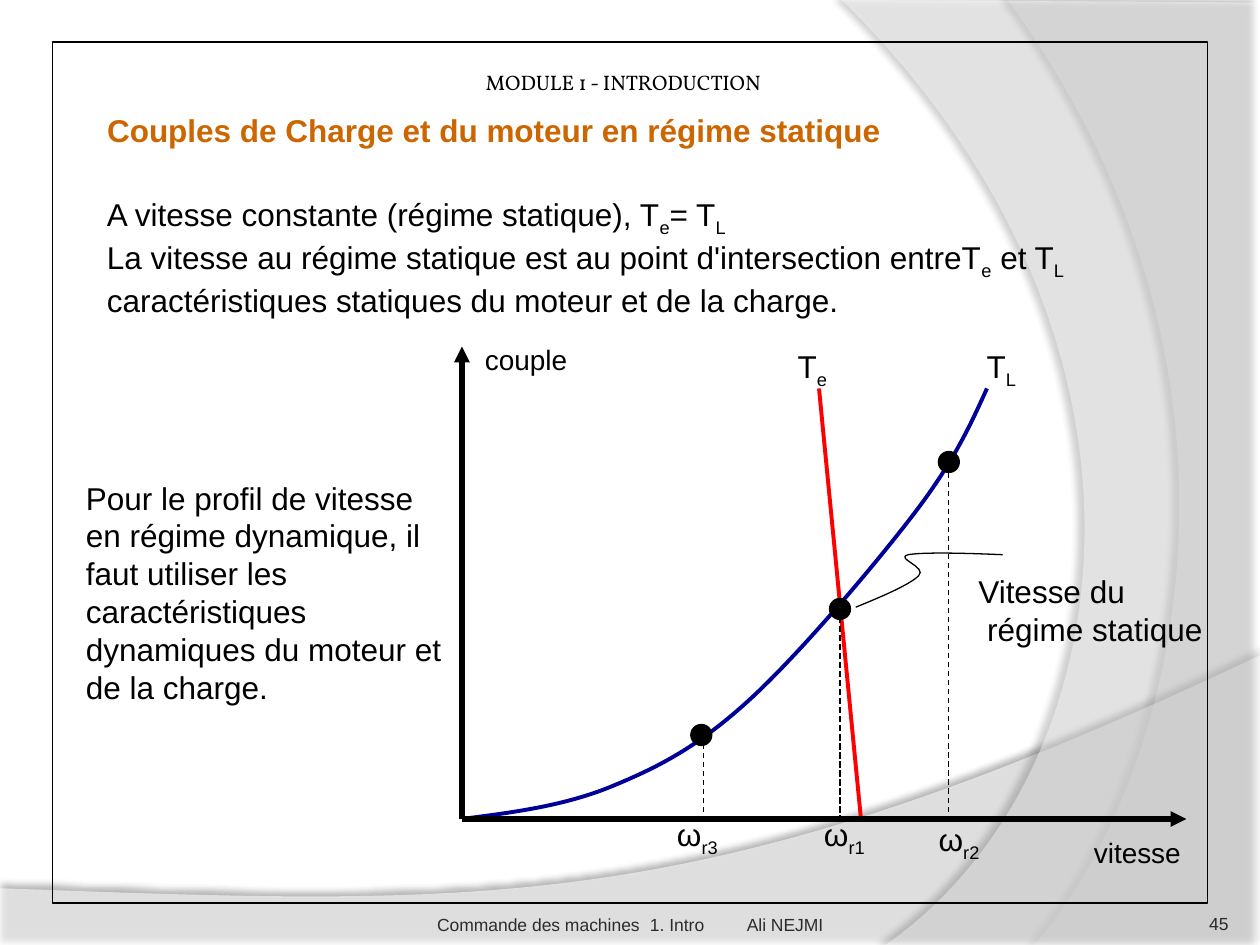
from lxml import etree
from pptx import Presentation
from pptx.dml.color import RGBColor
from pptx.enum.dml import MSO_LINE
from pptx.enum.shapes import MSO_CONNECTOR, MSO_SHAPE
from pptx.enum.text import MSO_ANCHOR, MSO_AUTO_SIZE, PP_ALIGN
from pptx.oxml.ns import qn
from pptx.util import Pt

DASH = MSO_LINE.DASH
LINE = MSO_CONNECTOR.STRAIGHT
RECT, OVAL = MSO_SHAPE.RECTANGLE, MSO_SHAPE.OVAL
TOP, LOW = MSO_ANCHOR.TOP, MSO_ANCHOR.BOTTOM
LEFT, RIGHT = PP_ALIGN.LEFT, PP_ALIGN.RIGHT
FIXED = MSO_AUTO_SIZE.NONE
INSET = (7.2, 3.6, 7.2, 3.6)


def rgb(code):
    return RGBColor.from_string(code)


def sub(node, tag, **attrs):
    return etree.SubElement(node, qn(tag), {k: str(v) for k, v in attrs.items()})


def write(shape, text, size=18, color="000000", bold=False, face="Arial",
          align=LEFT, anchor=TOP, wrap=True, inset=INSET, indents=(), tabs=()):
    """Lines split at newlines; text between bars is subscript."""
    frame = shape.text_frame
    frame.auto_size = FIXED
    frame.word_wrap = wrap
    frame.vertical_anchor = anchor
    (frame.margin_left, frame.margin_top,
     frame.margin_right, frame.margin_bottom) = map(Pt, inset)
    for row, line in enumerate(text.split("\n")):
        para = frame.add_paragraph() if row else frame.paragraphs[0]
        para.alignment = align
        para.space_before = Pt(0)
        props = para._p.get_or_add_pPr()
        if indents:
            props.set("marL", str(Pt(indents[row])))
        if tabs:
            stops = sub(props, "a:tabLst")
            for stop in tabs:
                sub(stops, "a:tab", pos=Pt(stop), algn="l")
        for turn, part in enumerate(line.split("|")):
            if not part:
                continue
            run = para.add_run()
            run.text = part
            font = run.font
            font.name, font.size, font.bold = face, Pt(size), bold
            font.color.rgb = rgb(color)
            if turn % 2:
                run._r.get_or_add_rPr().set("baseline", "-25000")


class Page:
    ink = "000000"
    thin = 0.75

    def __init__(self, deck):
        self.slide = deck.slides.add_slide(deck.slide_layouts[0])
        self.shapes = self.slide.shapes

    def label(self, x, y, w, h, text, **form):
        box = self.shapes.add_textbox(Pt(x), Pt(y), Pt(w), Pt(h))
        write(box, text, **form)

    def holder(self, index, x, y, w, h, text, **form):
        box = self.slide.placeholders[index]
        box.left, box.top, box.width, box.height = map(Pt, (x, y, w, h))
        box.element.getparent().append(box.element)  # bring to front
        write(box, text, **form)

    def shape(self, kind, x, y, w, h, fill=None):
        item = self.shapes.add_shape(kind, Pt(x), Pt(y), Pt(w), Pt(h))
        item.shadow.inherit = False
        if fill:
            item.fill.solid()
            item.fill.fore_color.rgb = rgb(fill)
        else:
            item.fill.background()
        item.line.color.rgb = rgb(self.ink)
        item.line.width = Pt(self.thin)

    def line(self, x1, y1, x2, y2, color=ink, width=thin, dash=None, arrow=False):
        item = self.shapes.add_connector(LINE, Pt(x1), Pt(y1), Pt(x2), Pt(y2))
        item.line.color.rgb = rgb(color)
        item.line.width = Pt(width)
        if dash:
            item.line.dash_style = dash
        if arrow:
            sub(item.line._get_or_add_ln(), "a:tailEnd", type="triangle")
        sub(item.element.spPr, "a:effectLst")

    def outline(self, start, *steps, close=False):
        """A step is a line end (2 numbers) or a cubic curve (6 numbers)."""
        pen = self.shapes.build_freeform(*map(Pt, start))
        pen.add_line_segments([tuple(map(Pt, step[-2:])) for step in steps], close)
        item = pen.convert_to_shape()
        item.shadow.inherit = False
        for node, step in zip(list(item.element.iter(qn("a:lnTo"))), steps):
            if len(step) == 6:
                bend = etree.Element(qn("a:cubicBezTo"))
                for x, y in zip(step[::2], step[1::2]):
                    sub(bend, "a:pt", x=Pt(x) - item.left, y=Pt(y) - item.top)
                node.getparent().replace(node, bend)
        return item

    def curve(self, start, *steps, color=ink, width=thin):
        item = self.outline(start, *steps)
        item.fill.background()
        item.line.color.rgb = rgb(color)
        item.line.width = Pt(width)

    def wave(self, start, *steps, clear, shade, dist, angle):
        item = self.outline(start, *steps, close=True)
        item.fill.solid()
        item.fill.fore_color.rgb = rgb("FFFFFF")
        item.line.fill.background()
        props = item.element.spPr
        sub(props.find(".//" + qn("a:srgbClr")), "a:alpha", val=clear * 1000)
        glow = sub(props.find(qn("a:effectLst")), "a:outerShdw", blurRad=Pt(4),
                   dist=Pt(dist), dir=angle * 60000, rotWithShape=0)
        sub(sub(glow, "a:srgbClr", val=self.ink), "a:alpha", val=shade * 1000)


def main():
    deck = Presentation()
    deck.slide_width, deck.slide_height = Pt(720), Pt(540)
    page = Page(deck)

    # Backdrop waves: the floor wave lies under each side wave
    for foot, bend in ((591, (673, 445.5, 733, 216, 576, 0)),
                       (506, (641.5, 445.5, 682, 198, 481, 0))):
        page.wave((0, 507.6), (0, 540.5), (720, 540.5), (720, 374.5),
                  (402.5, 525, 281.5, 517.7, 0, 507.6),
                  clear=45, shade=35, dist=3.5, angle=270)
        page.wave((720, 1.5), (720, 540), (foot, 540), bend,
                  clear=40, shade=45, dist=4, angle=180)

    # Frame and texts
    page.holder(1, 36, 24, 540, 30, "MODULE 1 - INTRODUCTION", size=12,
                face="Vollkorn", anchor=LOW, inset=(241.5, 0, 3.6, 0))
    page.label(642, 505.5, 60, 28.5, "45", size=10, color="292929",
               align=RIGHT, anchor=LOW, inset=(0, 0, 0, 0))
    page.shape(RECT, 30, 24, 660, 492)
    page.holder(0, 54, 60, 516, 29,
                "Couples de Charge et du moteur en régime statique",
                color="CC6600", bold=True)
    page.label(54, 108, 618, 72,
               "A vitesse constante (régime statique), T|e|= T|L|\n"
               "La vitesse au régime statique est au point d'intersection "
               "entreT|e| et T|L| caractéristiques statiques du moteur et de la charge.")

    # Load curve, motor line and callout
    page.curve((264, 468), (292, 464.4, 321, 460.8, 348, 450),
               (375, 439, 397, 428, 426, 402), (455, 376, 499, 324, 522, 294),
               (545, 264, 554.5, 243, 564, 222), color="000099", width=2.25)
    for x, name in ((556.75, "T|L|"), (448.75, "T|e|")):
        page.label(x, 195, 32.5, 29, name, wrap=False)
    page.curve((573, 317), (550, 316, 527, 315.5, 519, 317),
               (511, 319, 530, 324, 525, 329), (520, 334, 505, 340.5, 489, 347))
    page.label(552, 323.5, 144, 51, "Vitesse du\nrégime statique",
               wrap=False, indents=(0, 5))
    page.line(468, 222, 492, 468, color="FF0000", width=2.25)
    page.line(480, 342, 480, 468, dash=DASH)

    # Axes
    for x, y in ((264, 198), (678, 468)):
        page.line(264, 468, x, y, width=3, arrow=True)
    page.label(270, 192, 62, 27, "couple", size=16, wrap=False)
    page.label(618, 474, 65, 27, "vitesse", size=16, wrap=False)

    # Working points: dot, drop line, speed label
    for x, y, drop, start, left, top, name in (
            (536.2, 258, 542, 270, 529.25, 465, "r2"),
            (394.75, 414, 402, 420, 379.75, 462, "r3"),
            (474, 342, 480, 348, 463.75, 462, "r1")):
        page.shape(OVAL, x, y, 12, 12, fill=page.ink)
        page.line(drop, start, drop, 468, dash=DASH)
        page.label(left, top, 40, 29, f"ω|{name}|")

    # Footer and side note
    page.label(246, 506, 228, 28.5, "Commande des machines\t1. Intro\tAli NEJMI",
               size=10, color="2C2C2C", anchor=LOW, inset=(3.75, 3.6, 0, 0),
               tabs=(121.7, 177))
    page.label(42, 270, 222, 138,
               "Pour le profil de vitesse en régime dynamique, il faut utiliser les "
               "caractéristiques dynamiques du moteur et de la charge.")

    deck.save("out.pptx")


if __name__ == "__main__":
    main()
